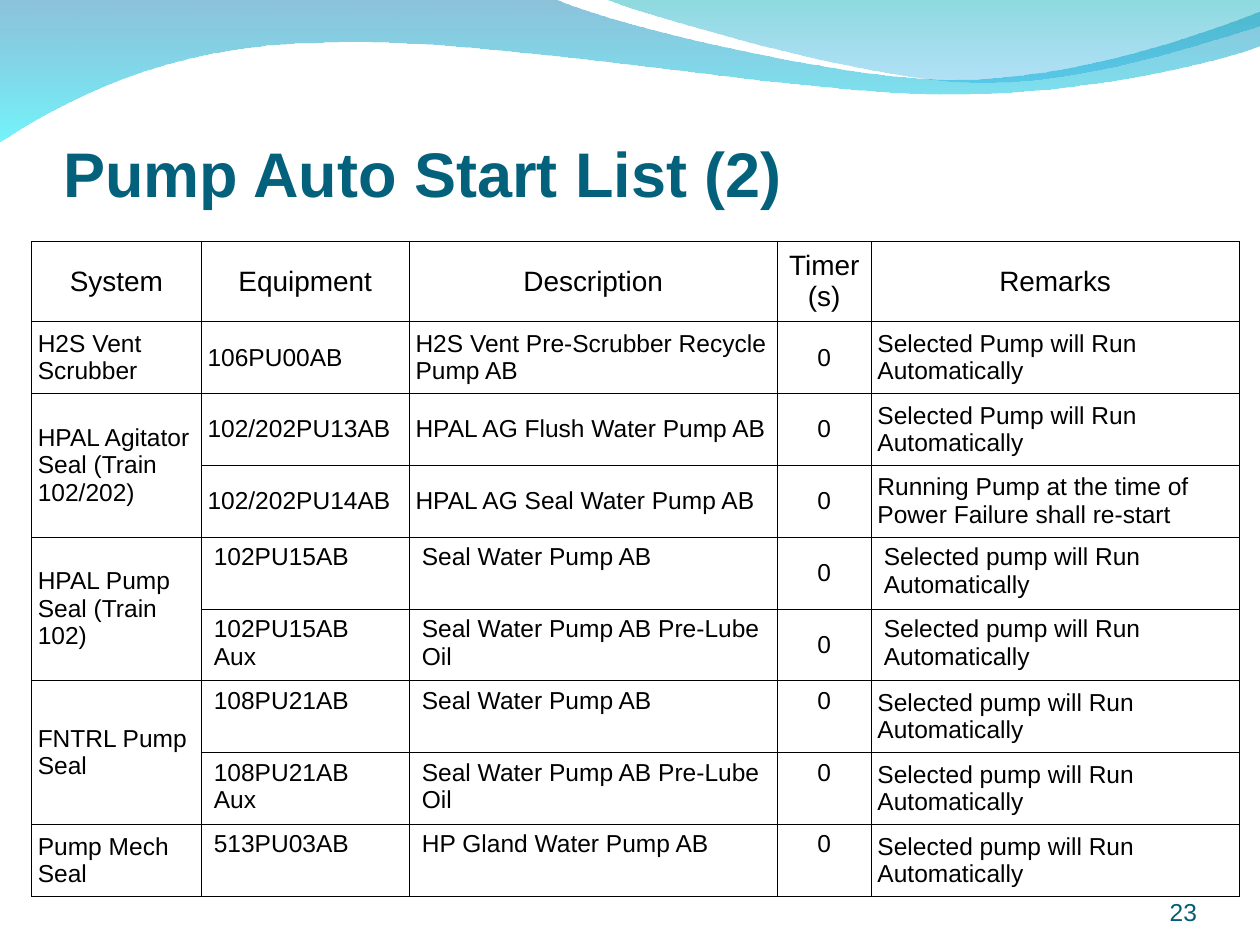
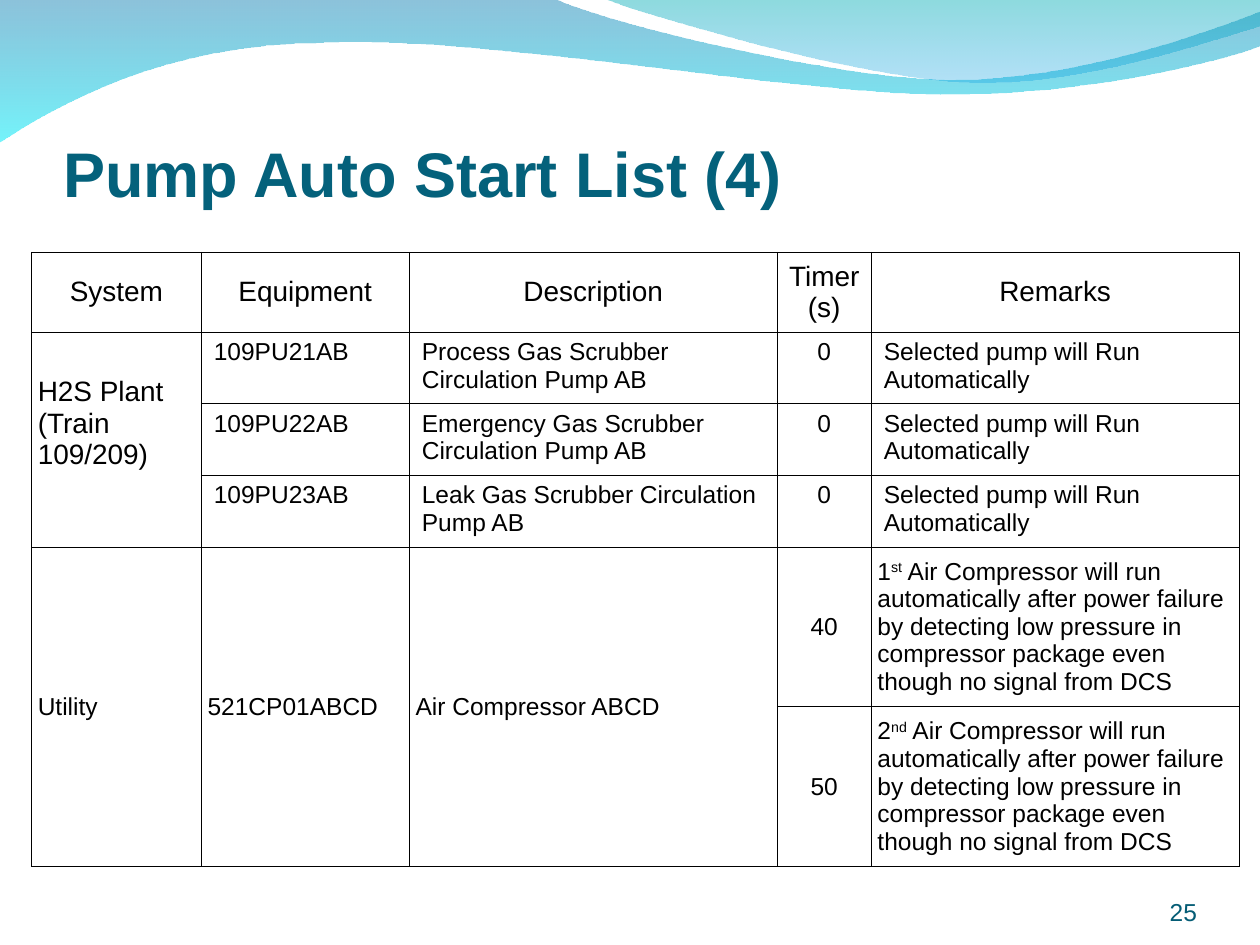
"""Builds the pump auto start list slides."""
import pptx
import pptx.dml.color
import pptx.enum.text
import pptx.oxml.ns
import pptx.util
from lxml import etree

Pt = pptx.util.Pt
RGB = pptx.dml.color.RGBColor.from_string
qn = pptx.oxml.ns.qn
ALIGN = pptx.enum.text.PP_ALIGN
ANCHOR = pptx.enum.text.MSO_ANCHOR

COLORS = {"title": "04617B", "number": "045C75", "text": "000000", "border": "000000",
          "wave_top": "0079AF", "wave_end": "00EBF8",
          "crest_top": "00ADB6", "crest_end": "009BE5"}
FONT = "Arial"

BANDS = [
    {"start": (0, -0.7),
     "steps": [[(316.8, -0.7)],
               [(342.7, 12.2), (478.1, 45.4), (545.8, 45.4)],
               [(614.2, 45.4), (689.8, 18.7), (720, 6.5)],
               [(720.7, 25.9)],
               [(707.8, 31.7), (626.4, 54.7), (537.1, 54)],
               [(447.8, 53.3), (275, 20.2), (185, 24.5)],
               [(92.9, 25.2), (33.1, 59.8), (-0.7, 81.4)]],
     "stops": [("wave_top", 45), ("wave_end", 55)]},
    {"start": (344.9, -0.7),
     "steps": [[(366.5, 7.9), (491, 44.6), (553.7, 46.8)],
               [(616.3, 49.7), (691.9, 23), (720, 15.1)],
               [(720, 0)]],
     "stops": [("crest_top", 45), ("crest_end", 30)]},
]

HEADER = ("head", ["System", "Equipment", "Description", "Timer (s)", "Remarks"])
AUTO = "Selected pump will Run Automatically"
AUTO_CAP = "Selected Pump will Run Automatically"
COMPRESSOR = (" Air Compressor will run automatically after power failure by detecting "
              "low pressure in compressor package even though no signal from DCS")
COLS = [97, 118.9, 210.3, 53.7, 210.3]
TIMER_COL = 3
LEFT = 18

SLIDES = [
    {"title": "Pump Auto Start List (2)", "number": "23", "top": 138,
     "heights": [45.8] + [41.05] * 8,
     "rows": [
         HEADER,
         ("mmmmm", ["H2S Vent Scrubber", "106PU00AB",
                    "H2S Vent Pre-Scrubber Recycle Pump AB", "0", AUTO_CAP]),
         ("mmmmm", ["HPAL Agitator Seal (Train 102/202)", "102/202PU13AB",
                    "HPAL AG Flush Water Pump AB", "0", AUTO_CAP]),
         ("mmmmm", [None, "102/202PU14AB", "HPAL AG Seal Water Pump AB", "0",
                    "Running Pump at the time of Power Failure shall re-start"]),
         ("mttmt", ["HPAL Pump Seal (Train 102)", "102PU15AB", "Seal Water Pump AB",
                    "0", AUTO]),
         ("mttmt", [None, "102PU15AB Aux", "Seal Water Pump AB Pre-Lube Oil", "0", AUTO]),
         ("mtttm", ["FNTRL Pump Seal", "108PU21AB", "Seal Water Pump AB", "0", AUTO]),
         ("mtttm", [None, "108PU21AB Aux", "Seal Water Pump AB Pre-Lube Oil", "0", AUTO]),
         ("mtttm", ["Pump Mech Seal", "513PU03AB", "HP Gland Water Pump AB", "0", AUTO]),
     ]},
    {"title": "Pump Auto Start List (4)", "number": "25", "top": 144.1,
     "heights": [45.2] + [40.95] * 3 + [91.2] * 2,
     "rows": [
         HEADER,
         ("ptttt", ["H2S Plant (Train 109/209)", "109PU21AB",
                    "Process Gas Scrubber Circulation Pump AB", "0", AUTO]),
         ("ptttt", [None, "109PU22AB", "Emergency Gas Scrubber Circulation Pump AB",
                    "0", AUTO]),
         ("ptttt", [None, "109PU23AB", "Leak Gas Scrubber Circulation Pump AB", "0", AUTO]),
         ("mmmmm", ["Utility", "521CP01ABCD", "Air Compressor ABCD", "40",
                    "1^st^" + COMPRESSOR]),
         ("mmmmm", [None, None, None, "50", "2^nd^" + COMPRESSOR]),
     ]},
]

CELL_STYLES = {
    "m": {"anchor": ANCHOR.MIDDLE, "side": 3.6, "bottom": 3.6, "size": 14},
    "t": {"anchor": ANCHOR.TOP, "side": 7.2, "bottom": 3.6, "size": 14},
    "p": {"anchor": ANCHOR.MIDDLE, "side": 3.6, "bottom": 22, "size": 16},
    "h": {"anchor": ANCHOR.MIDDLE, "side": 3.6, "bottom": 3.6, "size": 16},
}
TITLE = {"at": (36.3, 30.2, 648, 90), "inset_top": 3.6, "align": ALIGN.LEFT,
         "font": {"size": Pt(36), "bold": True}, "color": "title"}
NUMBER = {"at": (624.2, 500.4, 59.8, 28.8), "inset_top": 0, "align": ALIGN.RIGHT,
          "font": {"size": Pt(14)}, "color": "number"}


def set_attrs(obj, values):
    for name, value in values.items():
        setattr(obj, name, value)


def write(p, text, align, font, color):
    p.alignment = align
    for i, part in enumerate(text.split("^")):
        r = p.add_run()
        r.text = part
        set_attrs(r.font, {"name": FONT, **font})
        r.font.color.rgb = RGB(COLORS[color])
        if i % 2:
            r._r.get_or_add_rPr().set("baseline", "30000")


def curve_segments(sp, steps):
    lines = iter(list(sp._element.spPr.iter(qn("a:lnTo"))))
    for step in steps:
        segment, *rest = [next(lines) for _ in step]
        if rest:
            curve = etree.Element(qn("a:cubicBezTo"))
            segment.addprevious(curve)
            for line in (segment, *rest):
                curve.append(line[0])
                line.getparent().remove(line)


def add_band(s, band):
    builder = s.shapes.build_freeform(*map(Pt, band["start"]), scale=1.0)
    builder.add_line_segments([(Pt(x), Pt(y)) for step in band["steps"] for x, y in step],
                              close=True)
    sp = builder.convert_to_shape()
    curve_segments(sp, band["steps"])
    sp.shadow.inherit = False
    sp.line.fill.background()
    sp.fill.gradient()
    sp.fill.gradient_angle = 270
    for stop, (color, _) in zip(sp.fill.gradient_stops, band["stops"]):
        stop.color.rgb = RGB(COLORS[color])
    for clr, (_, alpha) in zip(sp._element.spPr.iter(qn("a:srgbClr")), band["stops"]):
        etree.SubElement(clr, qn("a:alpha"), val=str(alpha * 1000))


def add_text(s, text, style):
    tf = s.shapes.add_textbox(*map(Pt, style["at"])).text_frame
    set_attrs(tf, {"word_wrap": True, "vertical_anchor": ANCHOR.BOTTOM,
                   "margin_left": 0, "margin_right": 0, "margin_bottom": 0,
                   "margin_top": Pt(style["inset_top"])})
    write(tf.paragraphs[0], text, style["align"], style["font"], style["color"])


def format_cell(cell, style):
    set_attrs(cell, {"vertical_anchor": style["anchor"],
                     "margin_left": Pt(style["side"]), "margin_right": Pt(style["side"]),
                     "margin_top": Pt(3.6), "margin_bottom": Pt(style["bottom"])})
    cell.fill.background()
    tcPr = cell._tc.get_or_add_tcPr()
    for i, side in enumerate(("lnL", "lnR", "lnT", "lnB")):
        ln = etree.Element(qn("a:" + side), w=str(Pt(0.45)))
        fill = etree.SubElement(ln, qn("a:solidFill"))
        etree.SubElement(fill, qn("a:srgbClr"), val=COLORS["border"])
        tcPr.insert(i, ln)


def add_pump_table(s, rows, top, heights):
    frame = s.shapes.add_table(len(rows), len(COLS), Pt(LEFT), Pt(top),
                               Pt(sum(COLS)), Pt(sum(heights)))
    table = frame.table
    set_attrs(table, {"first_row": False, "horz_banding": False})
    for col, width in zip(table.columns, COLS):
        col.width = Pt(width)
    for row, height in zip(table.rows, heights):
        row.height = Pt(height)
    for i, (kinds, texts) in enumerate(rows):
        header = kinds == "head"
        for j, text in enumerate(texts):
            style = CELL_STYLES["h" if header else kinds[j]]
            cell = table.cell(i, j)
            format_cell(cell, style)
            if text is None:
                continue
            align = ALIGN.CENTER if header or j == TIMER_COL else ALIGN.LEFT
            write(cell.text_frame.paragraphs[0], text, align,
                  {"size": Pt(style["size"])}, "text")
            end = i
            while end + 1 < len(rows) and rows[end + 1][1][j] is None:
                end += 1
            if end > i:
                cell.merge(table.cell(end, j))


def main():
    prs = pptx.Presentation()
    set_attrs(prs, {"slide_width": Pt(720), "slide_height": Pt(540)})
    for page in SLIDES:
        s = prs.slides.add_slide(prs.slide_layouts[6])
        for band in BANDS:
            add_band(s, band)
        add_pump_table(s, page["rows"], page["top"], page["heights"])
        add_text(s, page["number"], NUMBER)
        add_text(s, page["title"], TITLE)
    prs.save("out.pptx")


if __name__ == "__main__":
    main()
